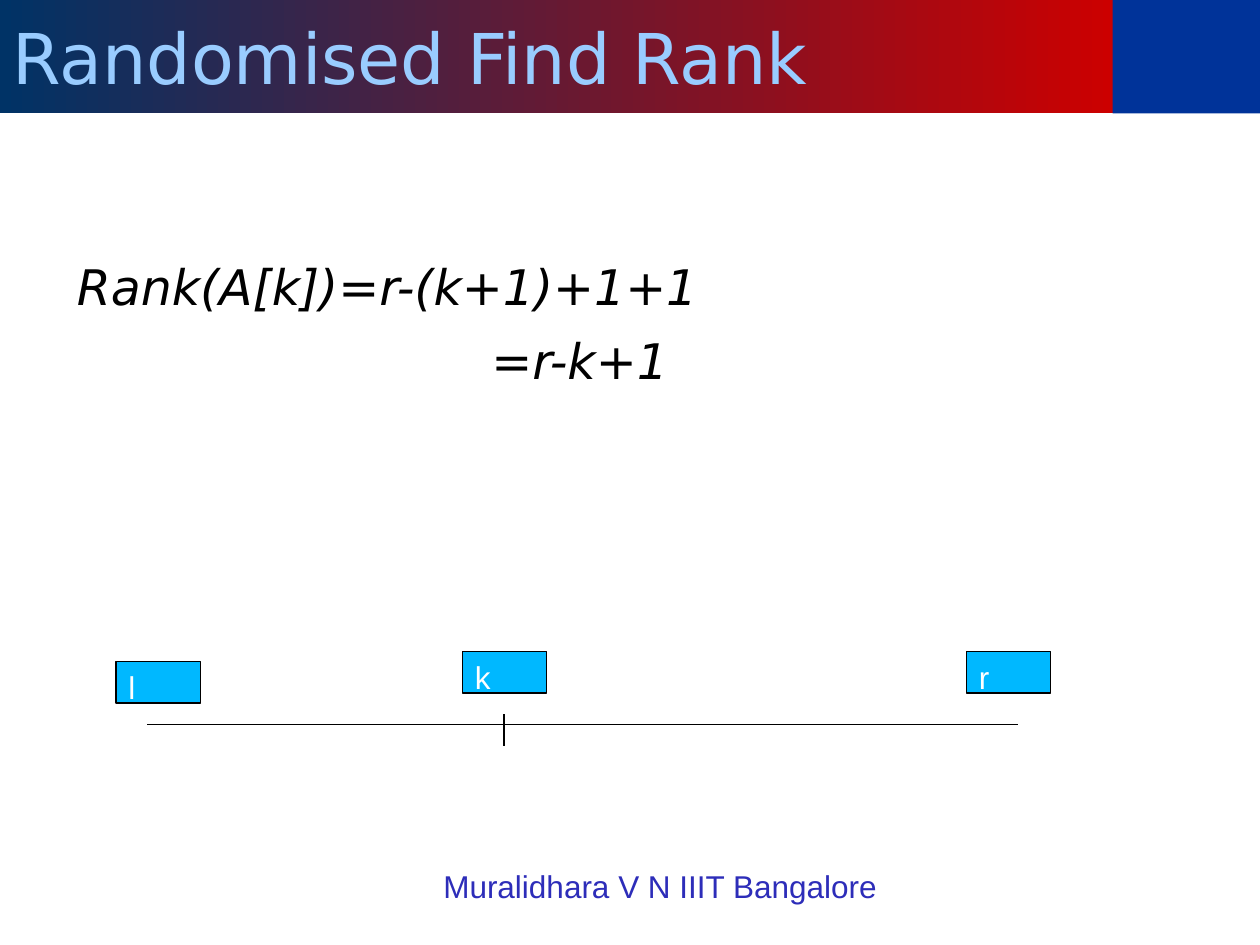
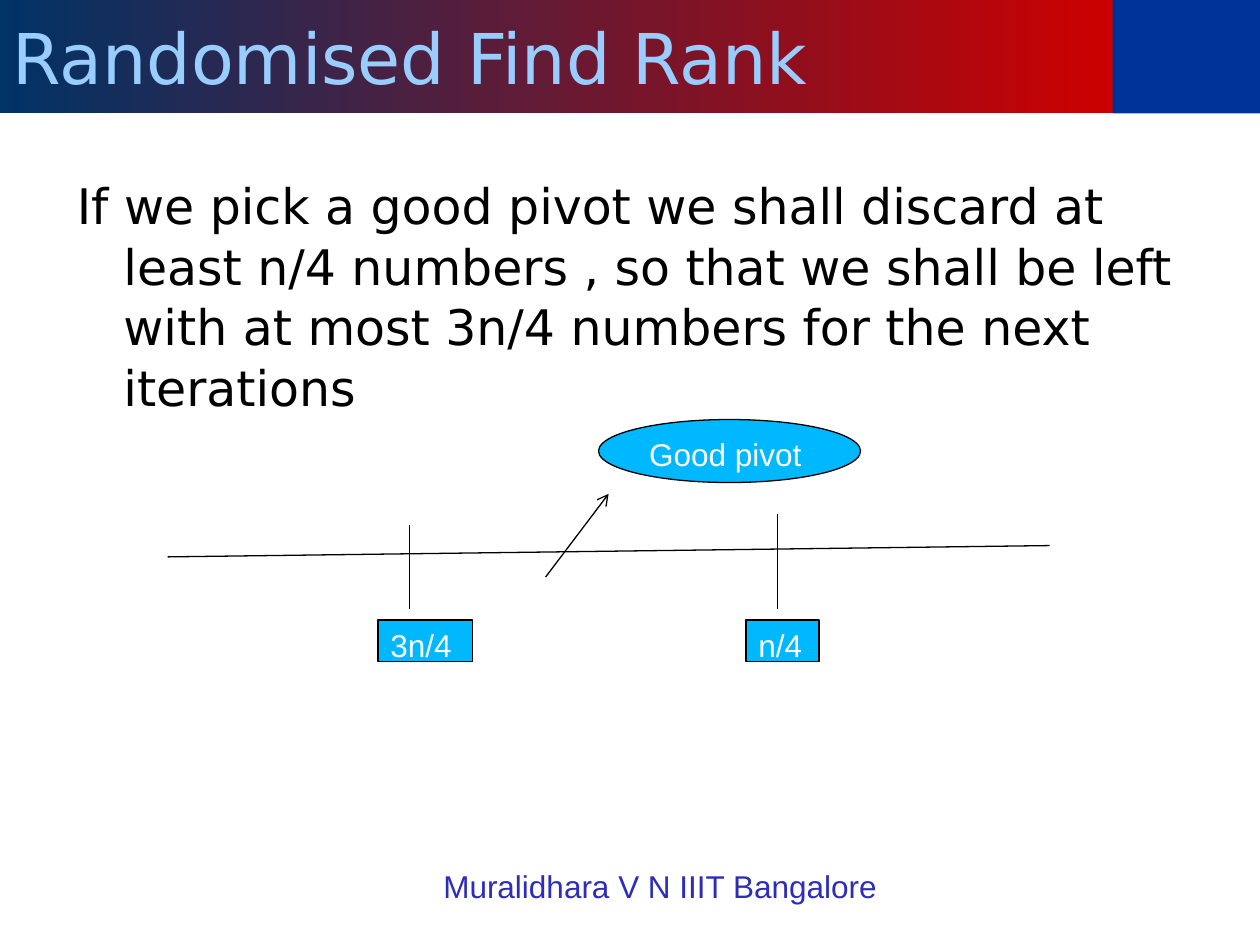
from lxml.etree import SubElement
from pptx import Presentation
from pptx.dml.color import RGBColor
from pptx.enum.shapes import MSO_CONNECTOR, MSO_SHAPE
from pptx.enum.text import MSO_ANCHOR, MSO_AUTO_SIZE, PP_ALIGN
from pptx.oxml.ns import qn
from pptx.util import Inches, Pt

NAVY = RGBColor(0x00, 0x33, 0x66)
RED = RGBColor(0xCC, 0x00, 0x00)
CORNER_BLUE = RGBColor(0x00, 0x33, 0x99)
TITLE_BLUE = RGBColor(0x99, 0xCC, 0xFF)
FOOTER_BLUE = RGBColor(0x2D, 0x2D, 0xB9)
LABEL_BLUE = RGBColor(0x00, 0xB8, 0xFF)
BLACK = RGBColor(0x00, 0x00, 0x00)
WHITE = RGBColor(0xFF, 0xFF, 0xFF)
HEADING_FONT = "DejaVu Sans"
LABEL_FONT = "Arial"
BAND_HEIGHT = 0.9
LABEL_HEIGHT = 0.33


def place(shape, left, top, width, height):
    """Move and size a shape, in inches."""
    shape.left, shape.top = Inches(left), Inches(top)
    shape.width, shape.height = Inches(width), Inches(height)


def style_text(paragraph, font_name, size, color, italic=False):
    """Left-align a paragraph and format its runs."""
    paragraph.alignment = PP_ALIGN.LEFT
    for run in paragraph.runs:
        run.font.name = font_name
        run.font.size = Pt(size)
        run.font.color.rgb = color
        run.font.italic = italic


def add_block(slide, preset, left, top, width, height, color):
    """Add a flat filled shape without an outline."""
    block = slide.shapes.add_shape(
        preset, Inches(left), Inches(top), Inches(width), Inches(height))
    block.shadow.inherit = False
    block.fill.solid()
    block.fill.fore_color.rgb = color
    block.line.fill.background()
    return block


def add_label(slide, text, left, top, width, height=LABEL_HEIGHT, preset=MSO_SHAPE.RECTANGLE):
    """Add an outlined label with white text."""
    label = add_block(slide, preset, left, top, width, height, LABEL_BLUE)
    label.line.color.rgb = BLACK
    label.line.width = Pt(0.75)
    frame = label.text_frame
    frame.text = text
    frame.vertical_anchor = MSO_ANCHOR.TOP
    style_text(frame.paragraphs[0], LABEL_FONT, 18, WHITE)


def add_line(slide, start, end, arrow=False):
    """Add a thin black line, with an arrowhead at its end if asked."""
    line = slide.shapes.add_connector(
        MSO_CONNECTOR.STRAIGHT, *(Inches(value) for value in (*start, *end)))
    line.line.color.rgb = BLACK
    line.line.width = Pt(0.75)
    properties = line.element.spPr
    if arrow:
        SubElement(properties.find(qn("a:ln")), qn("a:tailEnd"), type="arrow")
    SubElement(properties, qn("a:effectLst"))


def add_title(slide, text):
    """Fill the title placeholder and give it the gradient band."""
    title = slide.shapes.title
    place(title, 0, 0, 8.84, BAND_HEIGHT)
    title.fill.gradient()
    title.fill.gradient_angle = 0
    for stop, color in zip(title.fill.gradient_stops, (NAVY, RED)):
        stop.color.rgb = color
    frame = title.text_frame
    frame.text = text
    frame.auto_size = MSO_AUTO_SIZE.NONE
    frame.vertical_anchor = MSO_ANCHOR.MIDDLE
    style_text(frame.paragraphs[0], HEADING_FONT, 40, TITLE_BLUE)


def add_body(slide, lines, top, italic=False):
    """Fill the body placeholder with (text, margin, indent) lines."""
    body = slide.placeholders[1]
    place(body, 0.5, top, 9, 6.7 - top)
    frame = body.text_frame
    frame.text = "\n".join(text for text, _, _ in lines)
    frame.auto_size = MSO_AUTO_SIZE.NONE
    for index, (paragraph, (_, margin, indent)) in enumerate(zip(frame.paragraphs, lines)):
        properties = paragraph._p.get_or_add_pPr()
        properties.set("marL", str(Inches(margin)))
        properties.set("indent", str(Inches(indent)))
        SubElement(properties, qn("a:buNone"))
        paragraph.space_before = Pt(8 if index else 0)
        paragraph.line_spacing = 1.03
        style_text(paragraph, HEADING_FONT, 28, BLACK, italic)


def add_footer(slide):
    """Add the author line at the foot."""
    footer = slide.shapes.add_textbox(Inches(3.42), Inches(6.83), Inches(4.58), Inches(0.52))
    frame = footer.text_frame
    frame.word_wrap = True
    frame.text = "Muralidhara V N IIIT Bangalore"
    style_text(frame.paragraphs[0], LABEL_FONT, 18, FOOTER_BLUE)


def new_slide(deck):
    """Add a slide with the shared band, title and footer."""
    slide = deck.slides.add_slide(deck.slide_layouts[1])
    add_block(slide, MSO_SHAPE.RECTANGLE, 8.83, 0, 1.17, BAND_HEIGHT, CORNER_BLUE)
    add_title(slide, "Randomised Find Rank")
    add_footer(slide)
    return slide


def build_rank_formula(deck):
    """Show the rank of the pivot at position k."""
    slide = new_slide(deck)
    add_body(slide, [("Rank(A[k])=r-(k+1)+1+1", 0.38, -0.37), ("=r-k+1", 3.3, 0)],
             top=1.97, italic=True)
    add_line(slide, (1.17, 5.75), (8.08, 5.75))
    add_line(slide, (4, 5.67), (4, 5.92))
    for index_name, left, top in (("k", 3.67, 5.17), ("l", 0.92, 5.25), ("r", 7.67, 5.17)):
        add_label(slide, index_name, left, top, 0.67)


def build_good_pivot(deck):
    """Show where a good pivot falls on the number line."""
    slide = new_slide(deck)
    add_body(slide, [("If we pick a good pivot we shall discard at least n/4 numbers , "
                      "so that we shall be left with at most 3n/4 numbers for the next "
                      "iterations", 0.38, -0.37)], top=1.33)
    add_line(slide, (1.33, 4.42), (8.33, 4.33))
    for bound, tick, tick_top, width in (("3n/4", 3.25, 4.17, 0.75), ("n/4", 6.17, 4.08, 0.58)):
        add_line(slide, (tick, tick_top), (tick, 4.83))
        add_label(slide, bound, tick - 0.25, 4.92, width)
    add_line(slide, (4.33, 4.58), (4.83, 3.92), arrow=True)
    add_label(slide, "Good pivot", 4.75, 3.33, 2.08, 0.5, MSO_SHAPE.OVAL)


def main():
    """Build and save the deck."""
    deck = Presentation()
    deck.slide_width, deck.slide_height = Inches(10), Inches(7.5)
    build_rank_formula(deck)
    build_good_pivot(deck)
    deck.save("out.pptx")


if __name__ == "__main__":
    main()
